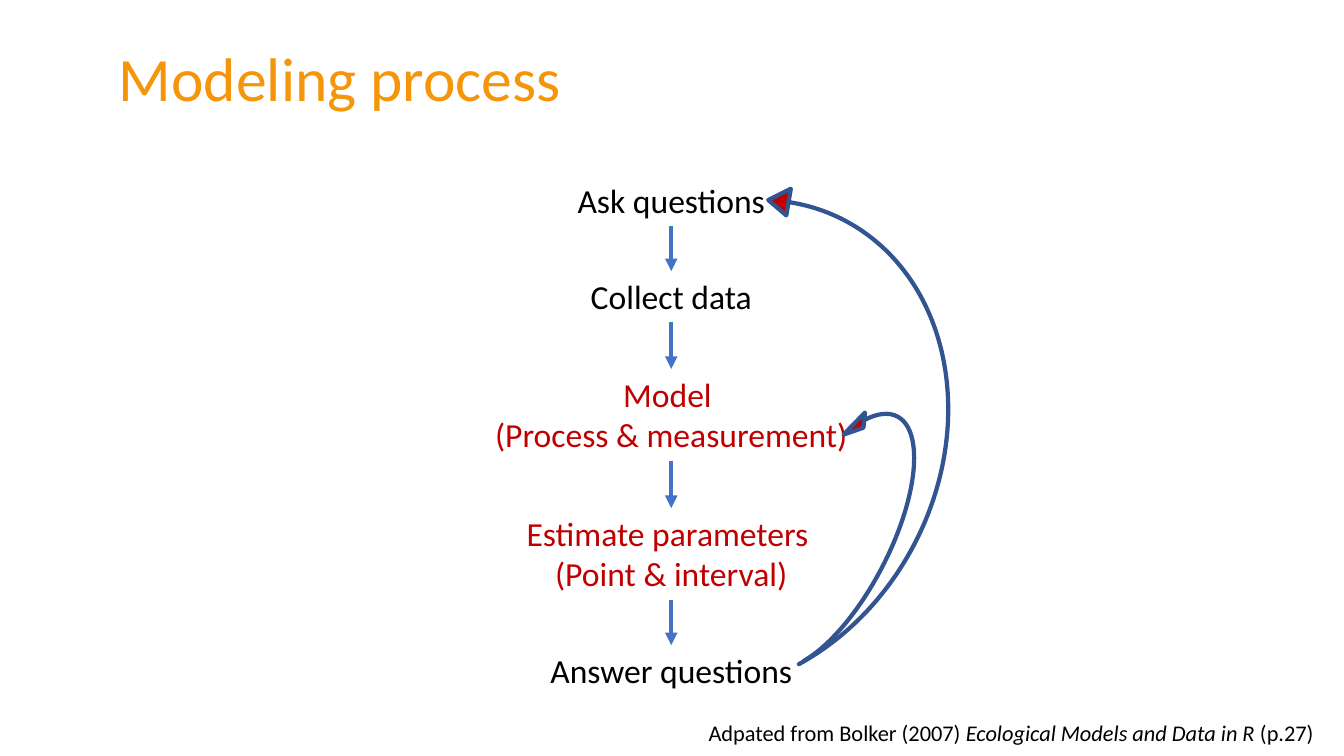
from dataclasses import dataclass

from lxml import etree
from pptx import Presentation
from pptx.dml.color import RGBColor
from pptx.enum.shapes import MSO_CONNECTOR, MSO_SHAPE
from pptx.enum.text import MSO_ANCHOR, MSO_AUTO_SIZE, PP_ALIGN
from pptx.oxml.ns import qn
from pptx.shapes.autoshape import Shape
from pptx.shapes.connector import Connector
from pptx.shapes.shapetree import SlideShapes
from pptx.text.text import _Paragraph
from pptx.util import Pt

STRAIGHT = MSO_CONNECTOR.STRAIGHT
LOOP = MSO_SHAPE.CIRCULAR_ARROW
CENTER = PP_ALIGN.CENTER
MIDDLE = MSO_ANCHOR.MIDDLE
GROW = MSO_AUTO_SIZE.SHAPE_TO_FIT_TEXT
BOTTOM, TOP = 2, 0
FONT = "Calibri"
MID = 479.5
COLORS = {
    "title": "F4950A",
    "text": "000000",
    "key": "C00000",
    "arrow": "4472C4",
    "loop": "325491",
}


@dataclass
class Step:
    lines: list[str]
    top: float
    width: float
    height: float
    color: str = "text"


@dataclass
class Loop:
    left: float
    top: float
    width: float
    height: float
    angles: tuple[float, ...]


STEPS = [
    Step(["Ask questions"], 125.3, 149.8, 36),
    Step(["Collect data"], 193.7, 130.3, 36),
    Step(["Model ", "(Process & measurement)"], 263.5, 268.6, 65.5, "key"),
    Step(["Estimate parameters ", "(Point & interval)"], 362.9, 223.2, 65.5, "key"),
    Step(["Answer questions"], 460.8, 189.4, 36),
]
LOOPS = [
    Loop(488.9, 341.3, 211.7, 90.7, (0, 5.29, 7.66, 116.37, 0.06)),
    Loop(327.6, 157.7, 383, 321.8, (0, 2.78, 7.9, 135.42, 0.03)),
]


def tint(name: str) -> RGBColor:
    return RGBColor.from_string(COLORS[name])


def style(para: _Paragraph, size: float, color: str) -> None:
    para.font.name = FONT
    para.font.size = Pt(size)
    para.font.color.rgb = tint(color)


def add_text(shapes: SlideShapes, left: float, top: float, width: float,
             height: float, lines: list[str], size: float, color: str) -> Shape:
    box = shapes.add_textbox(Pt(left), Pt(top), Pt(width), Pt(height))
    frame = box.text_frame
    frame.word_wrap = True
    frame.text = "\n".join(lines)
    for para in frame.paragraphs:
        style(para, size, color)
    return box


def add_step(shapes: SlideShapes, step: Step) -> Shape:
    box = add_text(shapes, MID - step.width / 2, step.top, step.width,
                   step.height, step.lines, 24, step.color)
    box.text_frame.word_wrap = False
    box.text_frame.auto_size = GROW
    for para in box.text_frame.paragraphs:
        para.alignment = CENTER
    return box


def add_arrow(shapes: SlideShapes, start: Shape, end: Shape) -> Connector:
    arrow = shapes.add_connector(STRAIGHT, 0, 0, 0, 0)
    arrow.begin_connect(start, BOTTOM)
    arrow.end_connect(end, TOP)
    arrow.line.width = Pt(3)
    arrow.line.color.rgb = tint("arrow")
    etree.SubElement(arrow.line._get_or_add_ln(), qn("a:tailEnd"), type="triangle")
    etree.SubElement(arrow._element.spPr, qn("a:effectLst"))
    return arrow


def add_loop(shapes: SlideShapes, loop: Loop) -> Shape:
    shape = shapes.add_shape(LOOP, Pt(loop.left), Pt(loop.top),
                             Pt(loop.width), Pt(loop.height))
    for slot, angle in enumerate(loop.angles):
        shape.adjustments[slot] = angle
    shape.rotation = 297.4
    shape._element.spPr.find(qn("a:xfrm")).set("flipV", "1")
    shape.shadow.inherit = False
    shape.fill.solid()
    shape.fill.fore_color.rgb = tint("key")
    shape.line.color.rgb = tint("loop")
    shape.line.width = Pt(3)
    return shape


def main() -> None:
    deck = Presentation()
    deck.slide_width, deck.slide_height = Pt(960), Pt(540)
    shapes = deck.slides.add_slide(deck.slide_layouts[6]).shapes

    title = add_text(shapes, 77.8, 11.5, 800.6, 92.9,
                     ["Modeling process"], 44, "title")
    title.text_frame.vertical_anchor = MIDDLE
    title.text_frame.paragraphs[0].line_spacing = 0.9

    boxes = [add_step(shapes, step) for step in STEPS]
    for start, end in zip(boxes, boxes[1:]):
        add_arrow(shapes, start, end)

    note = add_text(shapes, 499, 510.5, 461, 26.6,
                    ["Adpated from Bolker (2007) "], 16, "text")
    para = note.text_frame.paragraphs[0]
    book = para.add_run()
    book.text = "Ecological Models and Data in R"
    book.font.italic = True
    para.add_run().text = " (p.27)"

    for loop in LOOPS:
        add_loop(shapes, loop)
    deck.save("out.pptx")


if __name__ == "__main__":
    main()
